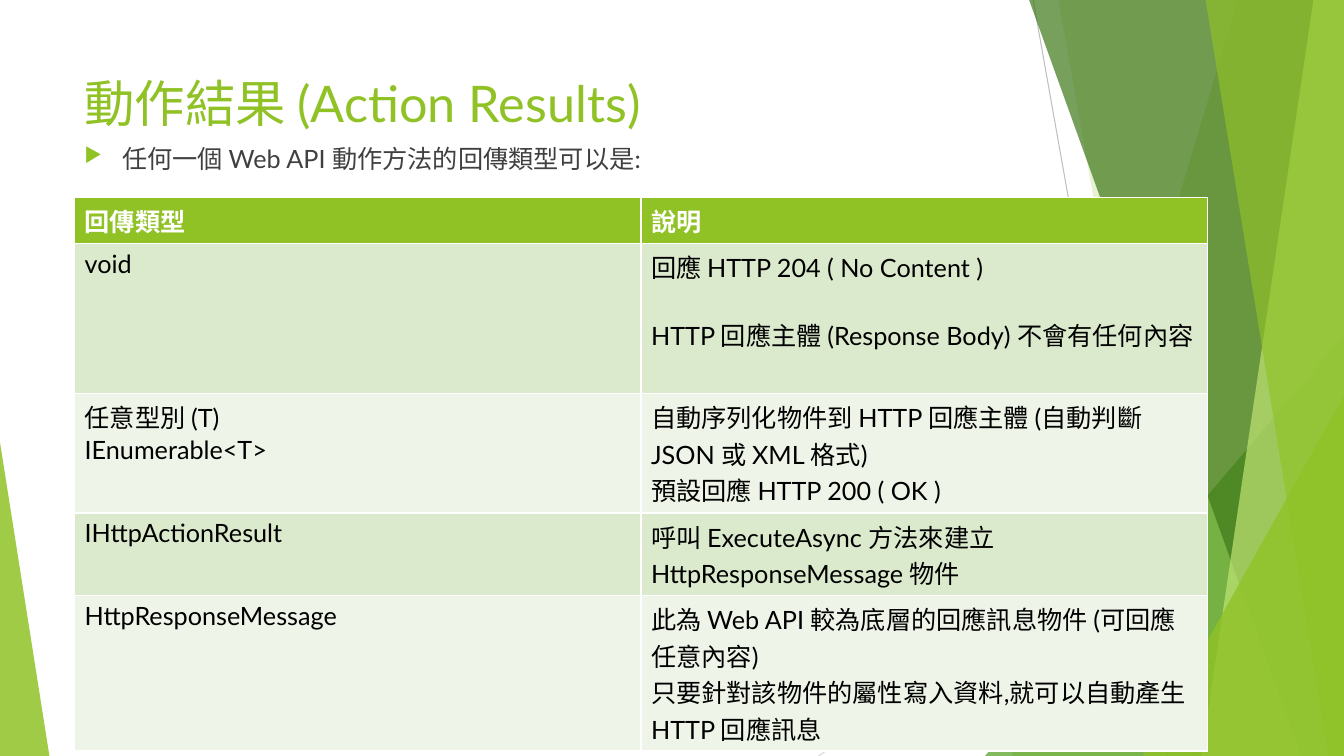
"""Build the Action Results slide: faceted backdrop, title, bullet and return type table."""
from lxml.etree import SubElement
from pptx import Presentation
from pptx.dml.color import RGBColor
from pptx.enum.shapes import MSO_CONNECTOR as Connector, MSO_SHAPE as Shape
from pptx.enum.text import MSO_ANCHOR as Anchor
from pptx.oxml.ns import qn
from pptx.util import Pt

WIDTH, HEIGHT, LEFT = 960, 540, 53.3
GREEN, WHITE, BLACK, GRAY = "90C226", "FFFFFF", "000000", "404040"
BANDS = ("DBE9CD", "EEF4E8")
TITLE = "動作結果 (Action Results)"
BULLET = "任何一個 Web API 動作方法的回傳類型可以是:"
HEADER = (["回傳類型"], ["說明"])
ROWS = [
    (["void"],
     ["回應 HTTP 204 ( No Content )",
      "HTTP 回應主體 (Response Body) 不會有任何內容"]),
    (["任意型別 (T)", "IEnumerable<T>"],
     ["自動序列化物件到 HTTP 回應主體 (自動判斷 JSON 或 XML 格式)",
      "預設回應 HTTP 200 ( OK )"]),
    (["IHttpActionResult"],
     ["呼叫 ExecuteAsync 方法來建立 HttpResponseMessage 物件"]),
    (["HttpResponseMessage"],
     ["此為 Web API 較為底層的回應訊息物件 (可回應任意內容)",
      "只要針對該物件的屬性寫入資料,就可以自動產生 HTTP 回應訊息"]),
]
ROW_HEIGHTS = (33, 107, 85.5, 59, 111)
COLUMN_WIDTH, TABLE_TOP, GAP_ROW, ROW_GAP = 404.6, 141, 1, 22

LINES = [((738, 0), (834, HEIGHT), "BFBFBF"), ((WIDTH, 290), (584.6, HEIGHT), "D9D9D9")]
# Kind, colour, opacity, then top left and bottom left x, or left, top, width and tip.
FACETS = [
    ("band", GREEN, 30, (884.2, 722.9)),
    ("band", GREEN, 20, (756, 851.8)),
    ("triangle", "54A021", 72, (703.6, 239.8, 256.4, 1)),
    ("band", "3F7819", 70, (735.1, 929.5)),
    ("band", "C0E474", 70, (938.2, 858.2)),
    ("band", GREEN, 65, (861.1, 949)),
    ("triangle", GREEN, 80, (816.5, 283, 143.5, 1)),
    ("triangle", GREEN, 85, (0, 316, 35.3, 0)),
]


def color(value):
    return RGBColor.from_string(value)


def paint(shape, value, opacity):
    shape.shadow.inherit = False
    shape.line.fill.background()
    shape.fill.solid()
    shape.fill.fore_color.rgb = color(value)
    tint = shape.fill._xPr.find(qn("a:solidFill"))[0]
    SubElement(tint, qn("a:alpha"), val=str(opacity * 1000))


def add_line(shapes, start, end, value):
    line = shapes.add_connector(Connector.STRAIGHT, *map(Pt, start + end))
    line.line.color.rgb = color(value)
    line.line.width = Pt(0.75)
    SubElement(line._element.spPr, qn("a:effectLst"))


def add_band(shapes, top_x, bottom_x):
    builder = shapes.build_freeform(Pt(top_x), 0)
    corners = [(WIDTH, 0), (WIDTH, HEIGHT), (bottom_x, HEIGHT)]
    builder.add_line_segments([(Pt(x), Pt(y)) for x, y in corners], close=True)
    return builder.convert_to_shape()


def add_triangle(shapes, left, top, width, tip):
    place = map(Pt, (left, top, width, HEIGHT - top))
    triangle = shapes.add_shape(Shape.ISOSCELES_TRIANGLE, *place)
    triangle.adjustments[0] = tip
    return triangle


def style(para, size, value, bold=False):
    for span in para.runs:
        span.font.name = "Lato"
        span.font.size = Pt(size)
        span.font.bold = bold
        span.font.color.rgb = color(value)


def add_text(shapes, top, height, text, size, value):
    box = shapes.add_textbox(*map(Pt, (LEFT, top, 676.8, height)))
    box.text_frame.word_wrap = True
    box.text_frame.vertical_anchor = Anchor.TOP
    box.text_frame.text = text
    para = box.text_frame.paragraphs[0]
    style(para, size, value)
    return para


def add_bullet(para, indent):
    props = para._p.get_or_add_pPr()
    props.set("marL", str(Pt(indent)))
    props.set("indent", str(-Pt(indent)))
    SubElement(SubElement(props, qn("a:buClr")), qn("a:srgbClr"), val=GREEN)
    SubElement(props, qn("a:buSzPct"), val="80000")
    SubElement(props, qn("a:buChar"), char="▶")


def fill_cell(cell, lines, back, value, bold):
    cell.fill.solid()
    cell.fill.fore_color.rgb = color(back)
    cell.text_frame.text = "\n".join(lines)
    for para in cell.text_frame.paragraphs:
        style(para, 18, value, bold)


def add_results(shapes):
    rows = [HEADER, *ROWS]
    place = map(Pt, (LEFT, TABLE_TOP, 2 * COLUMN_WIDTH, sum(ROW_HEIGHTS)))
    table = shapes.add_table(len(rows), 2, *place).table
    for column in table.columns:
        column.width = Pt(COLUMN_WIDTH)
    for index, (row, height) in enumerate(zip(rows, ROW_HEIGHTS)):
        table.rows[index].height = Pt(height)
        head = index == 0
        back = GREEN if head else BANDS[(index - 1) % 2]
        for cell, lines in zip(table.rows[index].cells, row):
            fill_cell(cell, lines, back, WHITE if head else BLACK, head)
    table.cell(GAP_ROW, 1).text_frame.paragraphs[1].space_before = Pt(ROW_GAP)


deck = Presentation()
deck.slide_width, deck.slide_height = Pt(WIDTH), Pt(HEIGHT)
page = deck.slides.add_slide(deck.slide_layouts[6])
for start, end, value in LINES:
    add_line(page.shapes, start, end, value)
makers = {"band": add_band, "triangle": add_triangle}
for kind, value, opacity, numbers in FACETS:
    paint(makers[kind](page.shapes, *numbers), value, opacity)
add_text(page.shapes, 48.2, 51.1, TITLE, 36, GREEN)
add_bullet(add_text(page.shapes, 98.6, 376.6, BULLET, 18, GRAY), 27)
add_results(page.shapes)
deck.save("out.pptx")
